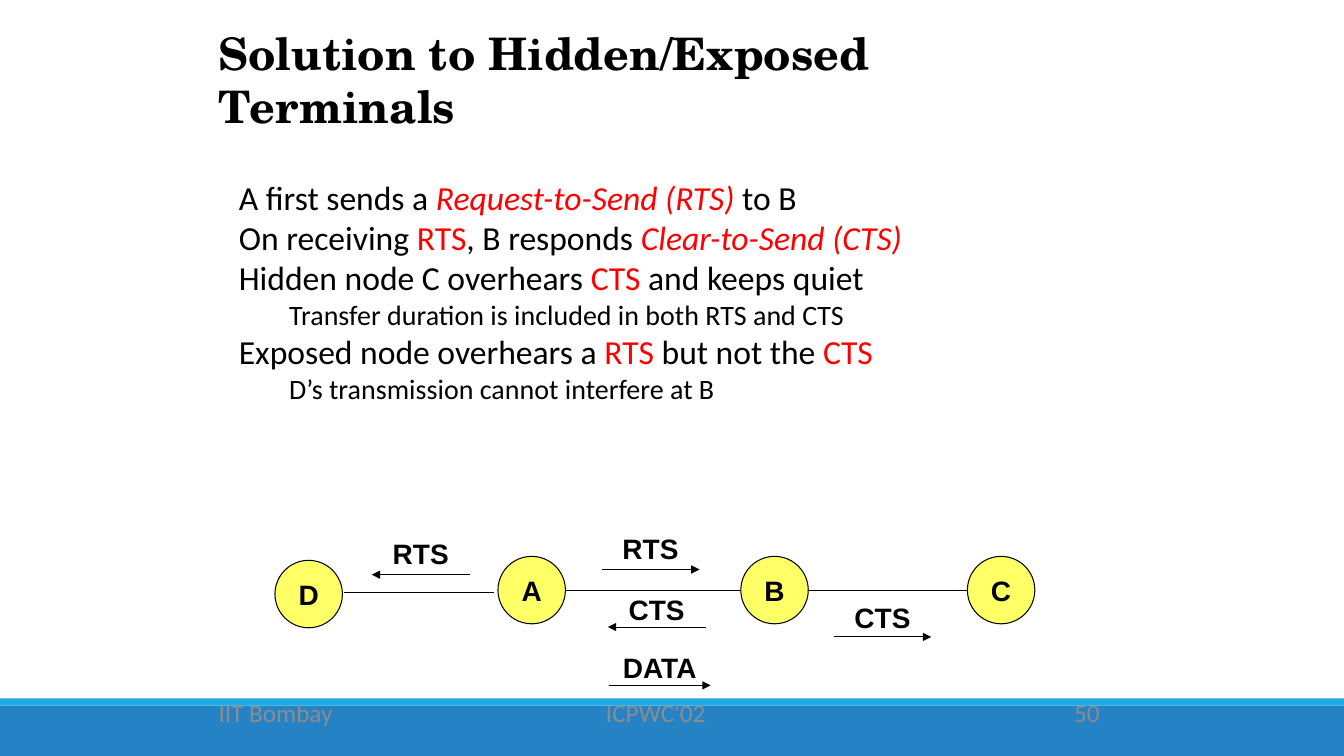
from pptx import Presentation
from pptx.dml.color import RGBColor
from pptx.enum.shapes import MSO_CONNECTOR, MSO_SHAPE
from pptx.enum.text import MSO_ANCHOR, PP_ALIGN
from pptx.oxml.ns import qn
from pptx.util import Cm, Pt
from lxml.etree import SubElement

BLACK, RED, YELLOW, GREY = "000000", "FF0000", "FFFF66", "8C8C8C"
BLUE, SKY = "2583C5", "1CACE3"
WIDTH, HEIGHT = 33.87, 19.05
NODE_SIZE = 1.7


def color(value):
    return RGBColor.from_string(value)


class SlideBuilder:
    text_font = "Calibri"
    title_font = "TeX Gyre Schola"
    label_font = "Arial"
    line_width = Pt(0.75)

    def __init__(self, slide):
        self.s = slide

    def run(self, p, text, size, font, fill=BLACK, bold=False, italic=False):
        r = p.add_run()
        r.text = text
        r.font.size = Pt(size)
        r.font.name = font
        r.font.bold = bold
        r.font.italic = italic
        r.font.color.rgb = color(fill)

    def frame(self, sp, wrap=True, anchor=MSO_ANCHOR.TOP):
        tf = sp.text_frame
        tf.margin_left = tf.margin_right = tf.margin_top = tf.margin_bottom = 0
        tf.word_wrap = wrap
        tf.vertical_anchor = anchor
        return tf

    def text(self, x, y, w, h, text, size, font, fill=BLACK, bold=False,
             align=PP_ALIGN.LEFT, wrap=True, anchor=MSO_ANCHOR.TOP):
        sp = self.s.shapes.add_textbox(Cm(x), Cm(y), Cm(w), Cm(h))
        p = self.frame(sp, wrap, anchor).paragraphs[0]
        p.alignment = align
        self.run(p, text, size, font, fill, bold)

    def body(self, x, y, w, h, paragraphs):
        sp = self.s.shapes.add_textbox(Cm(x), Cm(y), Cm(w), Cm(h))
        tf = self.frame(sp)
        for i, (level, runs) in enumerate(paragraphs):
            p = tf.paragraphs[0] if i == 0 else tf.add_paragraph()
            p.level = level
            pPr = p._p.get_or_add_pPr()
            pPr.set("marL", str(Cm(1.27 * level)))
            pPr.set("indent", "0")
            for text, fill, italic in runs:
                self.run(p, text, 20 if level else 24, self.text_font, fill, italic=italic)

    def band(self, y, h, fill):
        sp = self.s.shapes.add_shape(MSO_SHAPE.RECTANGLE, 0, Cm(y), Cm(WIDTH), Cm(h))
        sp.shadow.inherit = False
        sp.fill.solid()
        sp.fill.fore_color.rgb = color(fill)
        sp.line.fill.background()

    def node(self, name, x, y):
        sp = self.s.shapes.add_shape(MSO_SHAPE.OVAL, Cm(x), Cm(y), Cm(NODE_SIZE), Cm(NODE_SIZE))
        sp.shadow.inherit = False
        sp.fill.solid()
        sp.fill.fore_color.rgb = color(YELLOW)
        sp.line.color.rgb = color(BLACK)
        sp.line.width = self.line_width
        p = self.frame(sp, False, MSO_ANCHOR.MIDDLE).paragraphs[0]
        p.alignment = PP_ALIGN.CENTER
        self.run(p, name, 20, self.label_font, bold=True)

    def line(self, x1, x2, y, arrow=False):
        cxn = self.s.shapes.add_connector(MSO_CONNECTOR.STRAIGHT, Cm(x1), Cm(y), Cm(x2), Cm(y))
        cxn.line.color.rgb = color(BLACK)
        cxn.line.width = self.line_width
        if arrow:
            SubElement(cxn.line._get_or_add_ln(), qn("a:tailEnd"), type="triangle")
        SubElement(cxn._element.spPr, qn("a:effectLst"))

    def message(self, text, start, end, label_y, arrow_y):
        self.text(min(start, end), label_y, abs(end - start), 1.09, text, 20, self.label_font,
                  bold=True, align=PP_ALIGN.CENTER, wrap=False, anchor=MSO_ANCHOR.MIDDLE)
        self.line(start, end, arrow_y, arrow=True)


def main():
    prs = Presentation()
    prs.slide_width, prs.slide_height = Cm(WIDTH), Cm(HEIGHT)
    s = SlideBuilder(prs.slides.add_slide(prs.slide_layouts[6]))

    s.band(17.78, 1.27, BLUE)
    s.band(17.6, 0.18, SKY)
    for text, x, w, align in [
        ("IIT Bombay", 5.51, 5.28, PP_ALIGN.LEFT),
        ("ICPWC'02", 12.5, 8.05, PP_ALIGN.CENTER),
        ("50", 22.43, 5.28, PP_ALIGN.RIGHT),
    ]:
        s.text(x, 17.58, w, 1.27, text, 18, s.text_font, GREY, align=align)

    s.text(5.51, 0.64, 22.23, 2.74, "Solution to Hidden/Exposed Terminals",
           32, s.title_font, bold=True)
    s.body(6.02, 4.45, 21.59, 5.82, [
        (0, [("A first sends a ", BLACK, False), ("Request-to-Send (RTS) ", RED, True),
             ("to B", BLACK, False)]),
        (0, [("On receiving ", BLACK, False), ("RTS", RED, False),
             (", B responds ", BLACK, False), ("Clear-to-Send (CTS)", RED, True)]),
        (0, [("Hidden node C overhears ", BLACK, False), ("CTS ", RED, False),
             ("and keeps quiet", BLACK, False)]),
        (1, [("Transfer duration is included in both RTS and CTS", BLACK, False)]),
        (0, [("Exposed node overhears a ", BLACK, False), ("RTS", RED, False),
             (" but not the ", BLACK, False), ("CTS", RED, False)]),
        (1, [("D’s transmission cannot interfere at B", BLACK, False)]),
    ])

    for name, x, y in [("D", 6.93, 14.12), ("A", 12.55, 14.02),
                       ("B", 18.67, 14.02), ("C", 24.38, 14.02)]:
        s.node(name, x, y)
    for x1, x2, y in [(8.66, 12.45, 14.94), (14.25, 18.67, 14.87), (20.37, 24.38, 14.87)]:
        s.line(x1, x2, y)
    for message in [
        ("RTS", 11.84, 9.37, 13.41, 14.48),
        ("RTS", 15.16, 17.63, 13.28, 14.35),
        ("CTS", 17.78, 15.32, 14.81, 15.8),
        ("CTS", 21.01, 23.47, 15.01, 16.05),
        ("DATA", 15.34, 17.91, 16.26, 17.27),
    ]:
        s.message(*message)

    prs.save("out.pptx")


if __name__ == "__main__":
    main()
